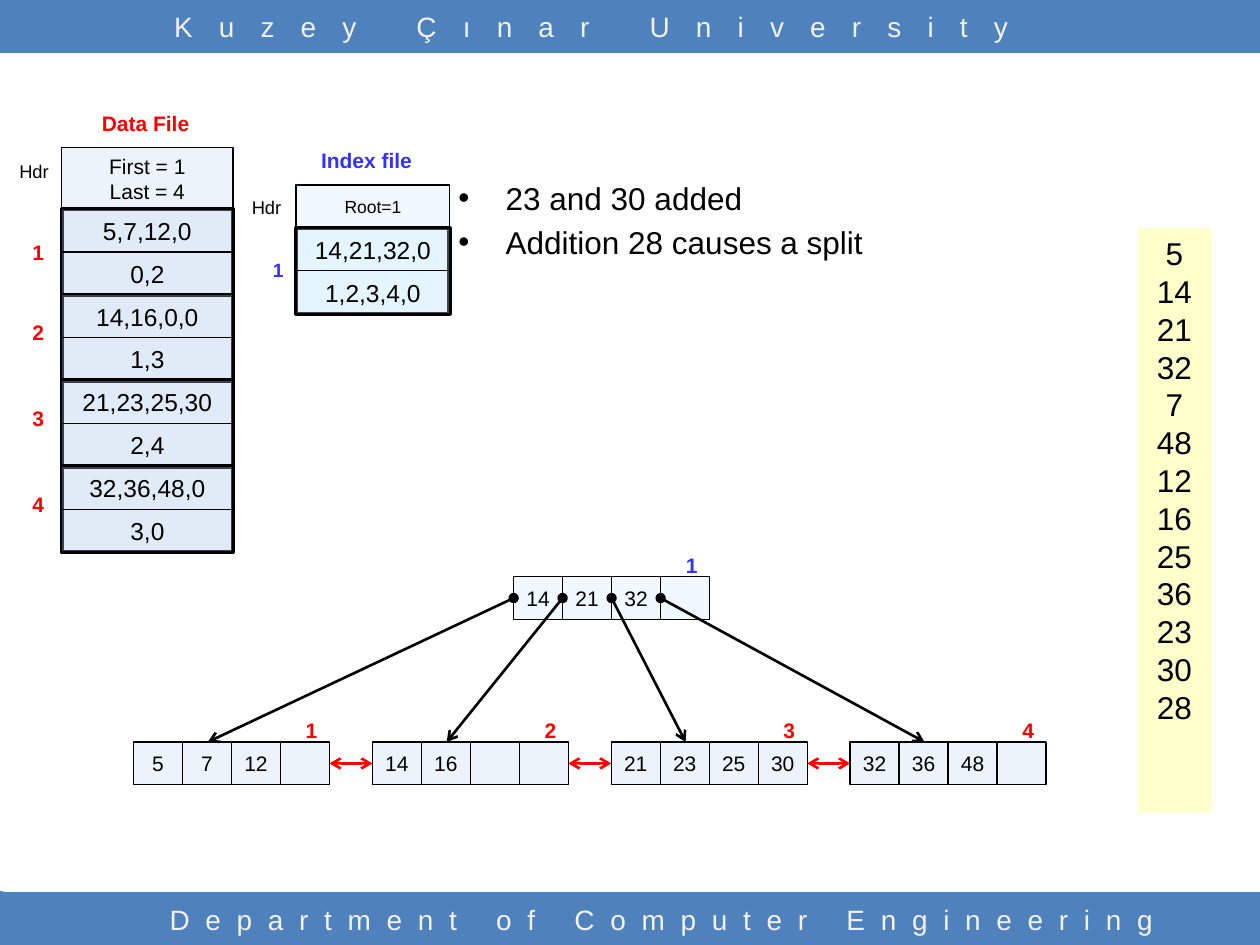
from lxml import etree
from pptx import Presentation
from pptx.dml.color import RGBColor
from pptx.enum.shapes import MSO_CONNECTOR, MSO_SHAPE
from pptx.enum.text import MSO_ANCHOR, PP_ALIGN
from pptx.oxml.ns import qn
from pptx.util import Pt

RECTANGLE = MSO_SHAPE.RECTANGLE
STRAIGHT = MSO_CONNECTOR.STRAIGHT
TOP, MIDDLE = MSO_ANCHOR.TOP, MSO_ANCHOR.MIDDLE
LEFT, CENTER, RIGHT = PP_ALIGN.LEFT, PP_ALIGN.CENTER, PP_ALIGN.RIGHT

COLORS = {
    "bar": "4F81BD", "bar_text": "F2F2F2", "keys": "FFFFCC", "data": "C6D9F1",
    "index": "CCECFF", "red": "FF0000", "blue": "3333FF", "black": "000000",
}
ROW = 24.5
CELL = 28
LEAF_PITCH = 136.5
LEAF_LEFT, LEAF_TOP = 76.3, 424
ROOT_LEFT, ROOT_TOP = 293.5, 329.5


def color(name):
    """Return the named colour."""
    return RGBColor.from_string(COLORS[name])


def write(frame, lines, size, ink="black", align=CENTER, bold=False, spacing=None):
    """Write one paragraph per line, all in the same format."""
    for number, line in enumerate(lines):
        para = frame.paragraphs[0] if number == 0 else frame.add_paragraph()
        para.alignment = align
        span = para.add_run()
        span.text = line
        for name, value in {"name": "Arial", "size": Pt(size), "bold": bold}.items():
            setattr(span.font, name, value)
        span.font.color.rgb = color(ink)
        if spacing:
            span.font._element.set("spc", str(spacing * 100))


def add_text(page, place, lines, size, anchor=TOP, wrap=True, **style):
    """Add a text box."""
    frame = page.shapes.add_textbox(*map(Pt, place)).text_frame
    frame.word_wrap = wrap
    frame.vertical_anchor = anchor
    write(frame, lines, size, **style)
    return frame


def paint(shape, fill, line=None, alpha=None):
    """Set fill, outline width and opacity in percent."""
    shape.shadow.inherit = False
    shape.fill.solid()
    shape.fill.fore_color.rgb = color(fill)
    if alpha:
        tint = shape._element.spPr.find(qn("a:solidFill"))[0]
        etree.SubElement(tint, qn("a:alpha")).set("val", str(alpha * 1000))
    if line:
        shape.line.color.rgb = color("black")
        shape.line.width = Pt(line)
    else:
        shape.line.fill.background()


def add_box(page, place, fill, lines=(), size=14, line=0.75, alpha=30, anchor=MIDDLE):
    """Add a rectangle with centred text."""
    box = page.shapes.add_shape(RECTANGLE, *map(Pt, place))
    paint(box, fill, line, alpha)
    frame = box.text_frame
    frame.vertical_anchor = anchor
    frame.margin_left = frame.margin_right = 0
    write(frame, lines, size)


def add_outline(page, points, fill):
    """Add a filled polygon."""
    corners = [(Pt(x), Pt(y)) for x, y in points]
    builder = page.shapes.build_freeform(*corners[0])
    builder.add_line_segments(corners[1:])
    paint(builder.convert_to_shape(), fill)


def add_arrow(page, start, end, ink, head):
    """Add a line with a chosen start mark and an arrow at its end."""
    line = page.shapes.add_connector(STRAIGHT, *map(Pt, start + end))
    line.line.color.rgb = color(ink)
    line.line.width = Pt(1.5)
    properties = line._element.spPr
    for tag, mark in (("a:headEnd", head), ("a:tailEnd", "arrow")):
        etree.SubElement(properties.find(qn("a:ln")), qn(tag)).set("type", mark)
    etree.SubElement(properties, qn("a:effectLst"))


def add_block(page, left, top, width, fill, rows):
    """Add a thick-framed block of stacked rows."""
    add_box(page, (left, top, width, ROW * len(rows)), fill, line=2.5)
    for number, row in enumerate(rows):
        add_box(page, (left, top + number * ROW, width, ROW), fill, [row])


def add_node(page, left, top, keys, label, fill, ink):
    """Add a tree node of four key cells with its block number."""
    for number, key in enumerate(keys):
        lines = [key] if key else []
        add_box(page, (left + number * CELL, top, CELL, ROW), fill, lines, 12)
    add_text(page, (left + 91.3, top - 17.5, 20.9, 21.6), [label], 12,
             ink=ink, align=LEFT, bold=True)


def add_banners(page):
    """Add the bars at the top and bottom with their titles."""
    for top in (0, 509.8):
        add_box(page, (0, top, 720, 30.2), "bar", line=None, alpha=None)
    add_outline(page, [(63.4, 510.5), (66.2, 510.5), (66.2, 540), (33.8, 540)], "bar")
    add_outline(page, [(0, 509), (2.9, 509.8), (33.1, 540), (0, 540)], "bar")
    for place, title, spacing in (
        ((66.2, 511.2, 624.2, 28.8), "Department of Computer Engineering", 9),
        ((46.8, 0, 582.5, 30.2), "Kuzey Çınar University", 15),
    ):
        add_text(page, place, [title], 16, MIDDLE, ink="bar_text", spacing=spacing)


def add_notes_list(page):
    """Add the bulleted remarks."""
    frame = add_text(page, (254.9, 98.6, 304.6, 87.8),
                     ["23 and 30 added", "Addition 28 causes a split"], 18, align=LEFT)
    for para in frame.paragraphs:
        para.space_before = Pt(3.6)
        properties = para._p.get_or_add_pPr()
        properties.set("marL", str(Pt(27)))
        properties.set("indent", str(Pt(-27)))
        etree.SubElement(properties, qn("a:buFont")).set("typeface", "Arial")
        etree.SubElement(properties, qn("a:buChar")).set("char", "•")


def add_data_file(page):
    """Add the data file with header and four blocks."""
    left, top, width = 35.3, 119.5, 97.9
    add_text(page, (51.1, 59.8, 72.7, 21.6), ["Data File"], 12, wrap=False,
             ink="red", align=LEFT, bold=True)
    add_box(page, (left, 84.4, width, 35.1), "data", ["First = 1", "Last = 4"], 12)
    add_text(page, (0, 87.8, 38.9, 20.2), ["Hdr"], 10.5)
    blocks = [("5,7,12,0", "0,2"), ("14,16,0,0", "1,3"),
              ("21,23,25,30", "2,4"), ("32,36,48,0", "3,0")]
    label_tops = (133.2, 179.3, 228.2, 277.2)
    for number, (rows, label_top) in enumerate(zip(blocks, label_tops)):
        add_block(page, left, top + number * 2 * ROW, width, "data", rows)
        add_text(page, (11.5, label_top, 19.4, 21.6), [str(number + 1)], 12,
                 ink="red", align=LEFT, bold=True)


def add_index_file(page):
    """Add the index file with header and one block."""
    left, top, width = 169.2, 130.3, 87.8
    add_text(page, (176.4, 80.6, 67, 21.6), ["Index file"], 12, wrap=False,
             ink="blue", align=LEFT, bold=True)
    add_text(page, (148.3, 144, 20.9, 20.9), ["1"], 11,
             ink="blue", align=RIGHT, bold=True)
    add_box(page, (left, top - ROW, width, ROW), "index", ["Root=1"], 10)
    add_text(page, (136.1, 108.7, 31.7, 20.2), ["Hdr"], 10.5, align=RIGHT)
    add_block(page, left, top, width, "index", ("14,21,32,0", "1,2,3,4,0"))


def add_tree(page):
    """Add the root, the linked leaves and the pointers between them."""
    leaves = [("5", "7", "12", ""), ("14", "16", "", ""),
              ("21", "23", "25", "30"), ("32", "36", "48", "")]
    add_node(page, ROOT_LEFT, ROOT_TOP, ("14", "21", "32", ""), "1", "index", "blue")
    for number, keys in enumerate(leaves):
        left = LEAF_LEFT + number * LEAF_PITCH
        add_node(page, left, LEAF_TOP, keys, str(number + 1), "data", "red")
        add_arrow(page, (ROOT_LEFT + number * CELL, ROOT_TOP + ROW / 2),
                  (left + 42.5, LEAF_TOP), "black", "oval")
        if number:
            middle = LEAF_TOP + ROW / 2
            add_arrow(page, (left - LEAF_PITCH + 4 * CELL, middle), (left, middle),
                      "red", "arrow")


def main():
    """Build and save the slide."""
    deck = Presentation()
    deck.slide_width, deck.slide_height = Pt(720), Pt(540)
    page = deck.slides.add_slide(deck.slide_layouts[6])
    add_banners(page)
    keys = "5 14 21 32 7 48 12 16 25 36 23 30 28".split()
    add_box(page, (650.2, 130.3, 41.8, 334.1), "keys", keys, 18,
            line=None, alpha=None, anchor=TOP)
    add_notes_list(page)
    add_data_file(page)
    add_index_file(page)
    add_tree(page)
    deck.save("out.pptx")


main()
